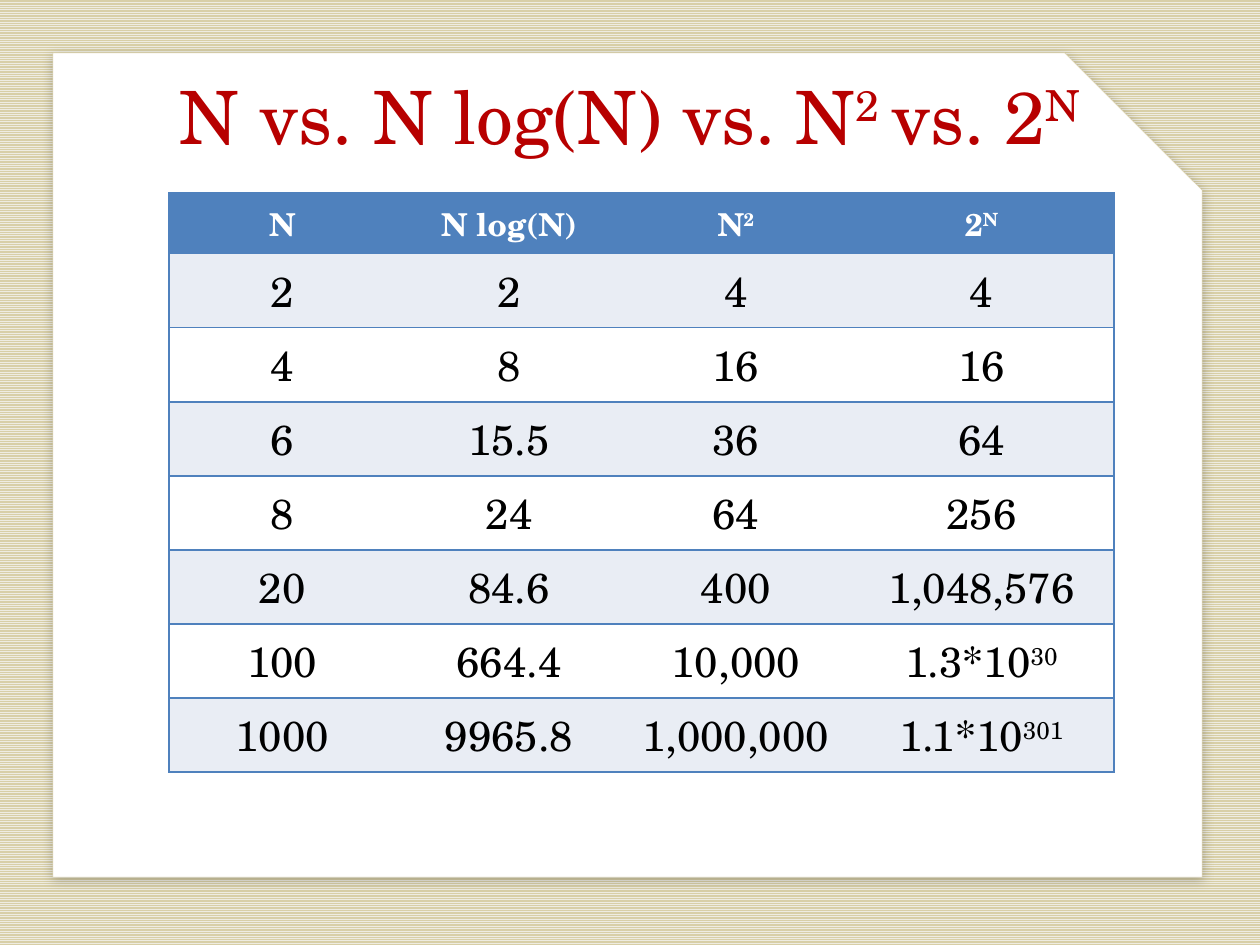
"""Build a slide comparing the growth of N, N log(N), N squared and 2 to the N."""
from lxml import etree
from pptx import Presentation
from pptx import oxml
from pptx.dml import color as dml
from pptx.enum import dml as fills, shapes, text
from pptx.oxml import ns
from pptx.util import Pt

HUES = {"title": "B70000", "blue": "4F81BD", "band": "E9EDF4", "white": "FFFFFF",
        "black": "000000", "cream": "EEECE1", "tan": "D8CFA7"}
FACE = "TeX Gyre Schola"
TITLE = ["N vs. N log(N) vs. N", "2 ", "vs. 2", "N"]
ROWS = [
    [["N"], ["N log(N)"], ["N", "2"], ["2", "N"]],
    [["2"], ["2"], ["4"], ["4"]],
    [["4"], ["8"], ["16"], ["16"]],
    [["6"], ["15.5"], ["36"], ["64"]],
    [["8"], ["24"], ["64"], ["256"]],
    [["20"], ["84.6"], ["400"], ["1,048,576"]],
    [["100"], ["664.4"], ["10,000"], ["1.3*10", "30"]],
    [["1000"], ["9965.8"], ["1,000,000"], ["1.1*10", "301"]],
]
WIDTHS = [129.6, 129.6, 129.6, 151.2]
HEAD, BODY = 34.8, 42.3


def hue(name):
    """Return a named colour."""
    return dml.RGBColor.from_string(HUES[name])


def write(frame, parts, size, tint, bold=False):
    """Write centred text whose every second part is raised."""
    para = frame.paragraphs[0]
    para.alignment = text.PP_ALIGN.CENTER
    font = para.font
    font.name, font.size, font.bold = FACE, Pt(size), bold
    font.color.rgb = hue(tint)
    for i, part in enumerate(parts):
        run = para.add_run()
        run.text = part
        if i % 2:
            run._r.get_or_add_rPr().set("baseline", "30000")


def edge(cell, side, shown):
    """Draw or clear one border of a cell."""
    line = etree.SubElement(cell._tc.get_or_add_tcPr(), ns.qn(f"a:ln{side}"))
    line.set("w", str(Pt(1)))
    if shown:
        fill = etree.SubElement(line, ns.qn("a:solidFill"))
        etree.SubElement(fill, ns.qn("a:srgbClr")).set("val", HUES["blue"])
    else:
        etree.SubElement(line, ns.qn("a:noFill"))


def back(slide):
    """Fill the background with narrow stripes."""
    fill = slide.background.fill
    fill.patterned()
    fill.pattern = fills.MSO_PATTERN.NARROW_HORIZONTAL
    fill.fore_color.rgb, fill.back_color.rgb = hue("cream"), hue("tan")


def card(slide):
    """Add the white sheet with a cut corner and a soft shadow."""
    sheet = slide.shapes.add_shape(shapes.MSO_SHAPE.SNIP_1_RECTANGLE,
                                   Pt(30.24), Pt(30.24), Pt(656.64), Pt(471))
    sheet.fill.solid()
    sheet.fill.fore_color.rgb = hue("white")
    sheet.line.color.rgb = hue("tan")
    sheet.line.width = Pt(0.25)
    sheet.shadow.inherit = False
    glow = oxml.parse_xml(
        f'<a:outerShdw {ns.nsdecls("a")} blurRad="{Pt(6)}" dist="{Pt(2)}" '
        f'dir="{80 * 60000}" algn="t" rotWithShape="0"><a:srgbClr val="{HUES["black"]}">'
        '<a:alpha val="22000"/></a:srgbClr></a:outerShdw>')
    sheet._element.spPr.find(ns.qn("a:effectLst")).append(glow)


def head(slide):
    """Add the title."""
    frame = slide.shapes.add_textbox(Pt(54), Pt(40.32), Pt(612), Pt(69.12)).text_frame
    frame.word_wrap = True
    frame.vertical_anchor = text.MSO_ANCHOR.TOP
    frame.margin_left = frame.margin_right = frame.margin_top = frame.margin_bottom = 0
    write(frame, TITLE, 42, "title")


def grid(slide):
    """Add the table of growth values."""
    high = HEAD + BODY * (len(ROWS) - 1)
    table = slide.shapes.add_table(len(ROWS), len(WIDTHS), Pt(96.5), Pt(110.2),
                                   Pt(sum(WIDTHS)), Pt(high)).table
    for col, width in zip(table.columns, WIDTHS):
        col.width = Pt(width)
    for r, row in enumerate(ROWS):
        top = r == 0
        table.rows[r].height = Pt(HEAD if top else BODY)
        for c, parts in enumerate(row):
            cell = table.cell(r, c)
            cell.vertical_anchor = text.MSO_ANCHOR.MIDDLE
            ends = {"L": c == 0, "R": c == len(row) - 1, "T": True, "B": True}
            for side, shown in ends.items():
                edge(cell, side, shown)
            cell.fill.solid()
            cell.fill.fore_color.rgb = hue("blue" if top else "band" if r % 2 else "white")
            write(cell.text_frame, parts, 18 if top else 24,
                  "white" if top else "black", top)


def main():
    """Build and save the slide."""
    deck = Presentation()
    deck.slide_width, deck.slide_height = Pt(720), Pt(540)
    slide = deck.slides.add_slide(deck.slide_layouts[6])
    for part in (back, card, head, grid):
        part(slide)
    deck.save("out.pptx")


if __name__ == "__main__":
    main()
